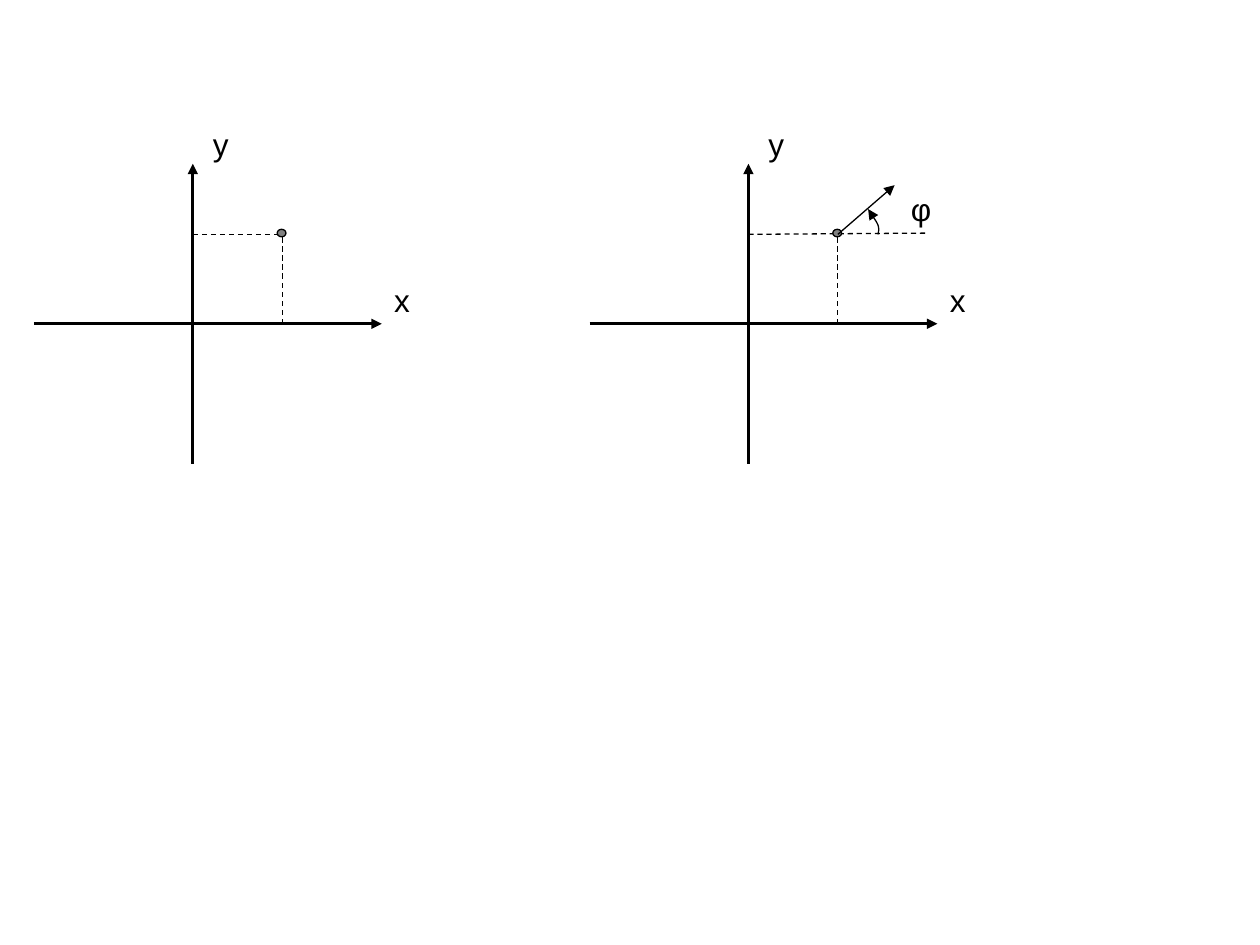
from dataclasses import dataclass

from lxml.etree import SubElement
from pptx import Presentation
from pptx.dml.color import RGBColor
from pptx.enum.dml import MSO_LINE_DASH_STYLE as Dash
from pptx.enum.shapes import MSO_CONNECTOR as Connector, MSO_SHAPE as Shape
from pptx.enum.text import MSO_AUTO_SIZE as AutoSize
from pptx.oxml.ns import qn
from pptx.util import Inches, Pt


@dataclass(frozen=True)
class Theme:
    """Colours, font and sizes of the slide."""
    ink: RGBColor = RGBColor(0, 0, 0)
    point: RGBColor = RGBColor(0x80, 0x80, 0x80)
    font: str = "Arial"
    label: Pt = Pt(18)
    axis: Pt = Pt(1.5)
    thin: Pt = Pt(0.75)


THEME = Theme()


def apply(target, values):
    """Set each named attribute on the target."""
    for name, value in values.items():
        setattr(target, name, value)


def style_line(shape, width, dash=None, arrow=False):
    """Give an outline its colour, width, dash and arrowhead."""
    line = shape.line
    line.color.rgb = THEME.ink
    apply(line, {"width": width, "dash_style": dash})
    if arrow:
        SubElement(line._get_or_add_ln(), qn("a:tailEnd"), type="triangle")


def add_line(slide, box, start, end, width=THEME.thin, **style):
    """Draw a straight line between two points of the box."""
    left, top = box
    connector = slide.shapes.add_connector(
        Connector.STRAIGHT,
        Inches(left + start[0]), Inches(top + start[1]),
        Inches(left + end[0]), Inches(top + end[1]))
    style_line(connector, width, **style)
    SubElement(connector._element.spPr, qn("a:effectLst"))


def add_label(slide, box, text, x, y):
    """Place a one-letter label in the box."""
    left, top = box
    shape = slide.shapes.add_textbox(
        Inches(left + x), Inches(top + y), Inches(0.32), Inches(0.4))
    apply(shape.text_frame, {"word_wrap": False, "auto_size": AutoSize.SHAPE_TO_FIT_TEXT})
    paragraph = shape.text_frame.paragraphs[0]
    paragraph.text = text
    font = paragraph.runs[0].font
    apply(font, {"name": THEME.font, "size": THEME.label})
    font.color.rgb = THEME.ink


def bezier(p0, p1, p2, p3, steps=8):
    """Return points along a cubic curve, without its start."""
    points = []
    for step in range(1, steps + 1):
        t = step / steps
        weights = ((1 - t) ** 3, 3 * t * (1 - t) ** 2, 3 * t * t * (1 - t), t ** 3)
        points.append(tuple(
            sum(w * p[i] for w, p in zip(weights, (p0, p1, p2, p3))) for i in (0, 1)))
    return points


def add_coordinates(slide, box, guide_end):
    """Draw labelled axes and a point with its dashed guides."""
    add_line(slide, box, (1.26, 2.74), (1.26, 0.36), THEME.axis, arrow=True)
    add_line(slide, box, (0, 1.63), (2.76, 1.63), THEME.axis, arrow=True)
    add_label(slide, box, "y", 1.32, 0)
    add_label(slide, box, "x", 2.76, 1.24)
    add_line(slide, box, (1.26, 0.92), guide_end, dash=Dash.DASH)
    add_line(slide, box, (1.97, 1.63), (1.97, 0.92), dash=Dash.DASH)
    left, top = box
    point = slide.shapes.add_shape(
        Shape.OVAL, Inches(left + 1.93), Inches(top + 0.88), Inches(0.07), Inches(0.06))
    point.shadow.inherit = False
    point.fill.solid()
    point.fill.fore_color.rgb = THEME.point
    style_line(point, THEME.thin)


def add_heading(slide, box):
    """Draw the direction arrow at the point and its angle."""
    add_line(slide, box, (1.97, 0.92), (2.42, 0.53), arrow=True)
    left, top = box
    start, bend, end = (2.29, 0.92), (2.29, 0.85), (2.21, 0.72)
    curve = (bezier(start, (2.29, 0.9), (2.3, 0.89), bend)
             + bezier(bend, (2.28, 0.82), (2.24, 0.77), end))
    builder = slide.shapes.build_freeform(Inches(left + start[0]), Inches(top + start[1]))
    builder.add_line_segments(
        [(Inches(left + x), Inches(top + y)) for x, y in curve], close=False)
    arc = builder.convert_to_shape()
    arc.shadow.inherit = False
    arc.fill.background()
    style_line(arc, THEME.thin, arrow=True)
    add_label(slide, box, "φ", 2.45, 0.52)


def main():
    """Build the slide with a position and a pose diagram."""
    presentation = Presentation()
    apply(presentation, {"slide_width": Inches(10), "slide_height": Inches(7.5)})
    slide = presentation.slides.add_slide(presentation.slide_layouts[6])
    position_box, pose_box = (0.27, 0.94), (4.68, 0.94)
    add_coordinates(slide, position_box, guide_end=(1.97, 0.92))
    add_coordinates(slide, pose_box, guide_end=(2.68, 0.91))
    add_heading(slide, pose_box)
    presentation.save("out.pptx")


if __name__ == "__main__":
    main()
